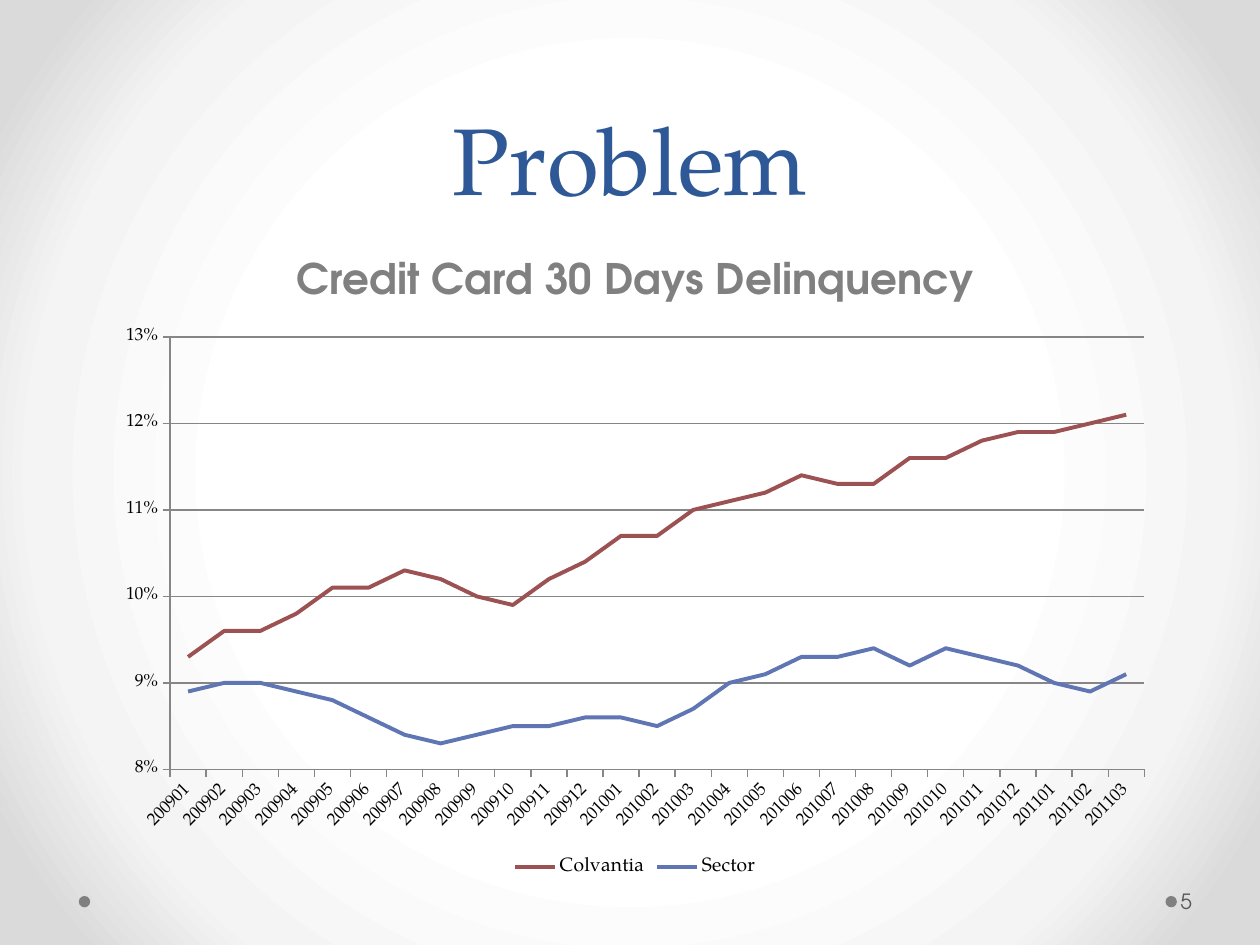
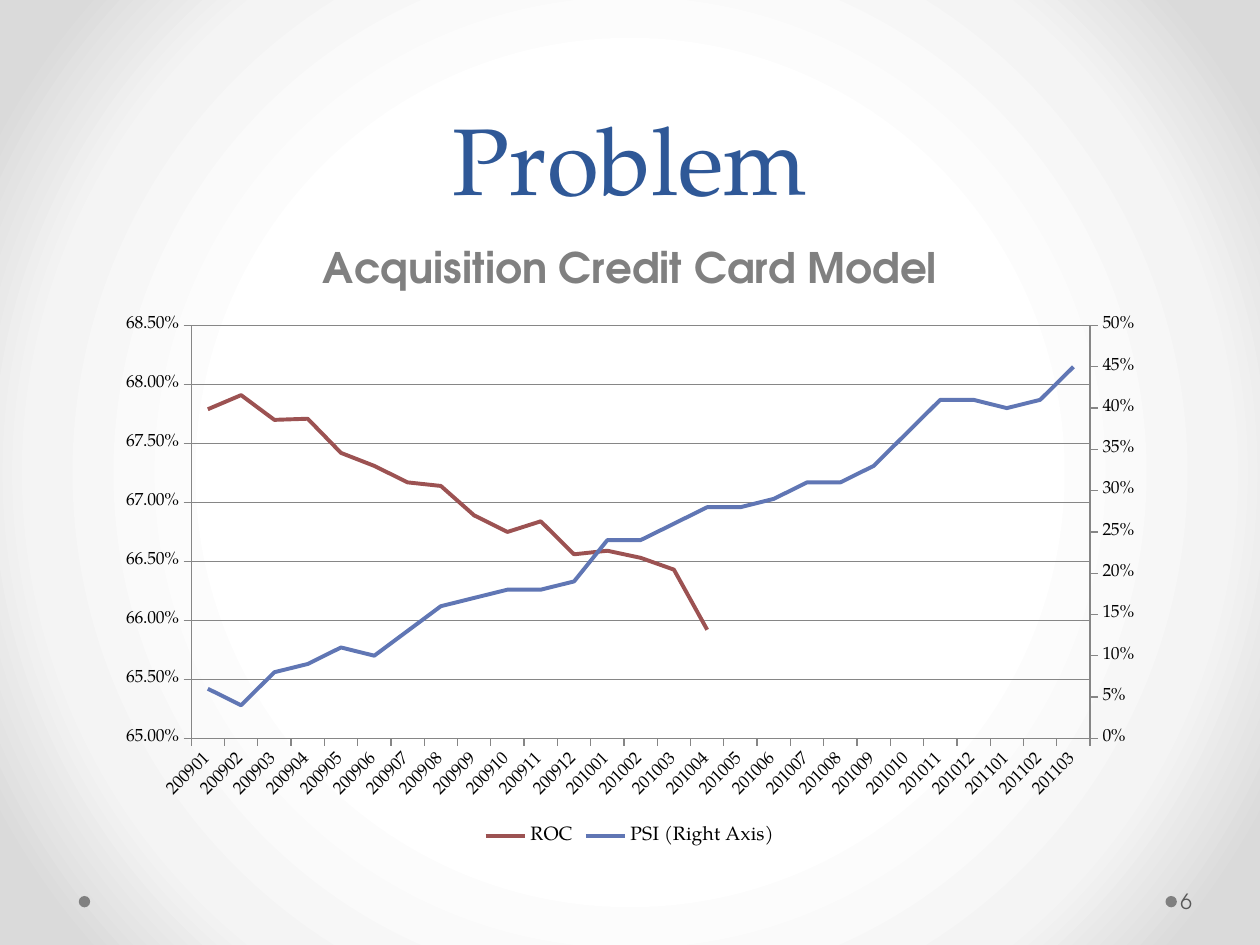
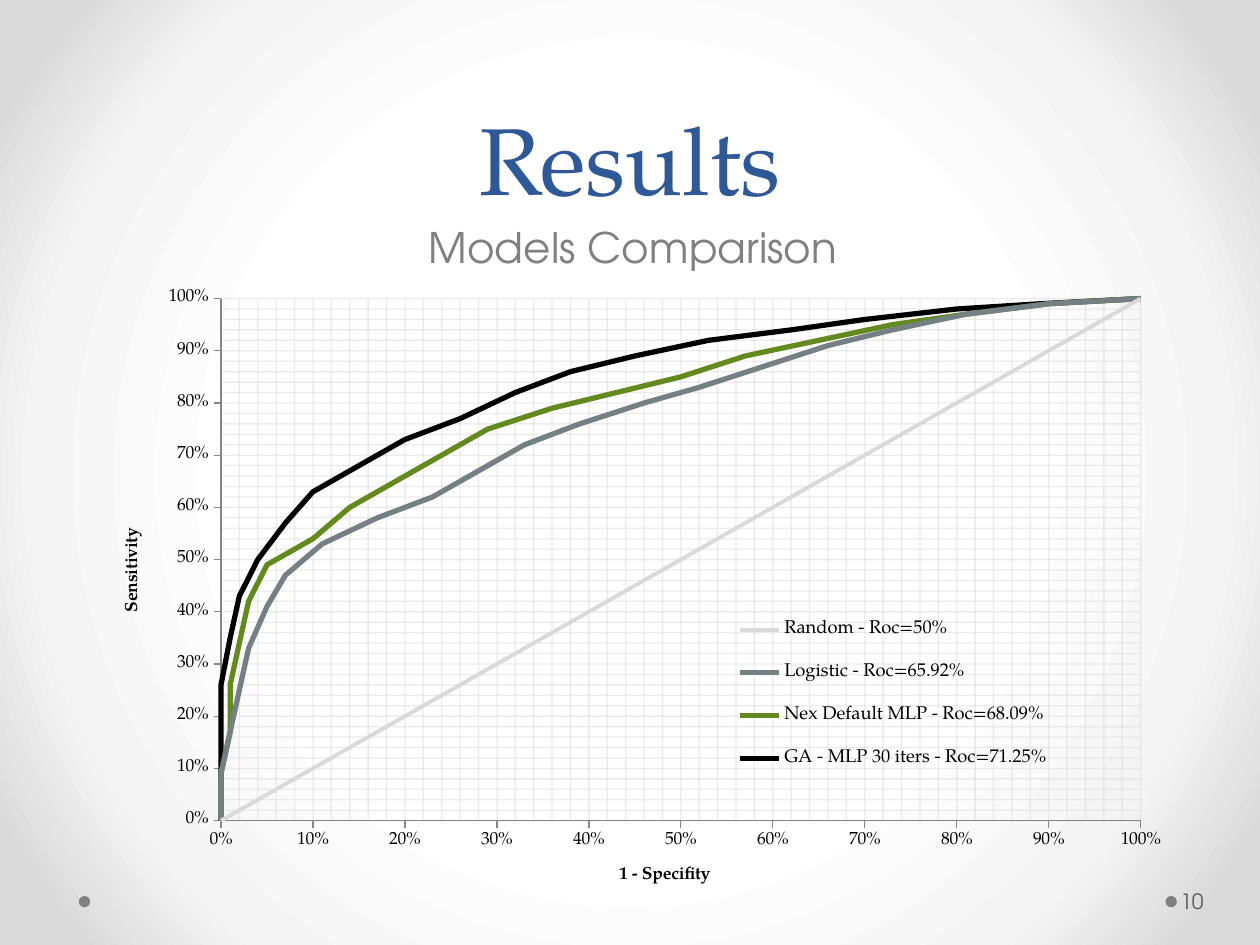
from copy import deepcopy

from lxml.etree import SubElement
from pptx import Presentation
from pptx.chart.data import CategoryChartData, XyChartData
from pptx.dml.color import RGBColor
from pptx.enum.chart import XL_CHART_TYPE as ChartType
from pptx.enum.chart import XL_LEGEND_POSITION as LegendPosition
from pptx.enum.chart import XL_TICK_MARK as TickMark
from pptx.enum.shapes import MSO_SHAPE as Shape
from pptx.enum.text import MSO_ANCHOR as Anchor
from pptx.enum.text import MSO_AUTO_SIZE as AutoSize
from pptx.enum.text import PP_ALIGN as Align
from pptx.oxml import parse_xml
from pptx.oxml.ns import nsdecls, qn
from pptx.util import Pt

COLORS = {
    "title": "2F5897", "muted": "808080", "number": "595959", "text": "000000",
    "axis": "868686", "grid": "D9D9D9", "red": "9C5252", "blue": "6076B4",
    "slate": "758085", "green": "63891F", "black": "000000",
}
BACKGROUND_STOPS = [(50, "FFFFFF"), (76, "F4F4F4"), (92, "DADADA")]
SERIF, SANS = "TeX Gyre Pagella", "TeX Gyre Adventor"
LINE_WIDTH, BOLD_LINE_WIDTH = 2.25, 3

MONTHS = [f"{year}{month:02}" for year in (2009, 2010, 2011)
          for month in range(1, 13)][:27]

DELINQUENCY = [
    ("Colvantia", "red",
     [0.093, 0.096, 0.096, 0.098, 0.101, 0.101, 0.103, 0.102, 0.1,
      0.099, 0.102, 0.104, 0.107, 0.107, 0.11, 0.111, 0.112, 0.114,
      0.113, 0.113, 0.116, 0.116, 0.118, 0.119, 0.119, 0.12, 0.121]),
    ("Sector", "blue",
     [0.089, 0.09, 0.09, 0.089, 0.088, 0.086, 0.084, 0.083, 0.084,
      0.085, 0.085, 0.086, 0.086, 0.085, 0.087, 0.09, 0.091, 0.093,
      0.093, 0.094, 0.092, 0.094, 0.093, 0.092, 0.09, 0.089, 0.091]),
]
ACQUISITION = [
    ("ROC", "red",
     [0.6779, 0.6791, 0.677, 0.6771, 0.6742, 0.6731, 0.6717, 0.6714,
      0.6689, 0.6675, 0.6684, 0.6656, 0.6659, 0.6653, 0.6643, 0.6592]
     + [None] * 11),
    ("PSI (Right Axis)", "blue",
     [0.06, 0.04, 0.08, 0.09, 0.11, 0.1, 0.13, 0.16, 0.17,
      0.18, 0.18, 0.19, 0.24, 0.24, 0.26, 0.28, 0.28, 0.29,
      0.31, 0.31, 0.33, 0.37, 0.41, 0.41, 0.4, 0.41, 0.45]),
]
DIAGONAL = [0, 0.09, 0.18, 0.26, 0.35, 0.43, 0.5, 0.57, 0.63, 0.68, 0.73,
            0.78, 0.82, 0.86, 0.89, 0.92, 0.95, 0.97, 0.98, 0.99, 1]
# name, colour, line width, x values, y values
ROC_CURVES = [
    ("Random - Roc=50%", "grid", LINE_WIDTH, DIAGONAL, DIAGONAL),
    ("Logistic - Roc=65.92%", "slate", BOLD_LINE_WIDTH,
     [0, 0, 0.01, 0.02, 0.03, 0.05, 0.07, 0.11, 0.17, 0.23, 0.28,
      0.33, 0.39, 0.46, 0.52, 0.59, 0.66, 0.73, 0.81, 0.9, 1],
     [0, 0.09, 0.17, 0.25, 0.33, 0.41, 0.47, 0.53, 0.58, 0.62, 0.67,
      0.72, 0.76, 0.8, 0.83, 0.87, 0.91, 0.94, 0.97, 0.99, 1]),
    ("Nex Default MLP - Roc=68.09%", "green", BOLD_LINE_WIDTH,
     [0, 0, 0.01, 0.01, 0.02, 0.03, 0.05, 0.1, 0.14, 0.19, 0.24,
      0.29, 0.36, 0.43, 0.5, 0.57, 0.65, 0.73, 0.81, 0.9, 1],
     [0, 0.09, 0.17, 0.26, 0.34, 0.42, 0.49, 0.54, 0.6, 0.65, 0.7,
      0.75, 0.79, 0.82, 0.85, 0.89, 0.92, 0.95, 0.97, 0.99, 1]),
    ("GA - MLP 30 iters - Roc=71.25%", "black", BOLD_LINE_WIDTH,
     [0, 0, 0, 0, 0.01, 0.02, 0.04, 0.07, 0.1, 0.15, 0.2,
      0.26, 0.32, 0.38, 0.45, 0.53, 0.62, 0.7, 0.8, 0.89, 1],
     [0, 0.09, 0.18, 0.26, 0.35, 0.43, 0.5, 0.57, 0.63, 0.68, 0.73,
      0.77, 0.82, 0.86, 0.89, 0.92, 0.94, 0.96, 0.98, 0.99, 1]),
]


def points(*lengths):
    """Turn plain numbers into point lengths."""
    return [Pt(length) for length in lengths]


def style_font(font, size, color, name, bold=False):
    """Set size, colour, typeface and weight of a font."""
    font.size, font.name, font.bold = Pt(size), name, bold
    font.color.rgb = RGBColor.from_string(COLORS[color])


def style_line(line, color, width, alpha=None):
    """Set colour, width and optional opacity (percent) of a line."""
    line.color.rgb = RGBColor.from_string(COLORS[color])
    line.width = Pt(width)
    if alpha:
        rgb = line.fill._xPr.find(".//" + qn("a:srgbClr"))
        SubElement(rgb, qn("a:alpha")).set("val", str(alpha * 1000))


def add_fine_grid(axis):
    """Show major and minor gridlines in one pale style."""
    axis.has_major_gridlines = axis.has_minor_gridlines = True
    style_line(axis.major_gridlines.format.line, "grid", 0.75, alpha=49)
    major = axis._element.find(qn("c:majorGridlines"))
    minor = axis._element.find(qn("c:minorGridlines"))
    minor.append(deepcopy(major.find(qn("c:spPr"))))


def set_layout(parent, index, area, inner=False):
    """Place a chart part by fractions of the chart's size."""
    for old in parent.findall(qn("c:layout")):
        parent.remove(old)
    layout = parse_xml(f"<c:layout {nsdecls('c')}><c:manualLayout/></c:layout>")
    settings = [("layoutTarget", "inner")] if inner else []
    settings += [("xMode", "edge"), ("yMode", "edge"), *zip("xywh", area)]
    for tag, value in settings:
        SubElement(layout[0], qn("c:" + tag)).set("val", str(value))
    parent.insert(index, layout)


def move_to_right_axis(chart):
    """Give the second series its own value axis on the right."""
    plot = chart.plots[0]._element
    right_plot = deepcopy(plot)
    plot.remove(plot.findall(qn("c:ser"))[1])
    right_plot.remove(right_plot.find(qn("c:ser")))
    plot.addnext(right_plot)

    category, value = chart.category_axis._element, chart.value_axis._element
    right_category, right_value = deepcopy(category), deepcopy(value)
    value.addnext(right_value)
    right_value.addnext(right_category)
    ids = ("1001", "1002")
    for reference, number in zip(right_plot.findall(qn("c:axId")), ids):
        reference.set("val", number)
    for axis, own, other in ((right_category, *ids), (right_value, *ids[::-1])):
        axis.find(qn("c:axId")).set("val", own)
        axis.find(qn("c:crossAx")).set("val", other)
    right_category.find(qn("c:delete")).set("val", "1")
    right_value.remove(right_value.find(qn("c:majorGridlines")))
    for tag, setting in (("axPos", "r"), ("crosses", "max"), ("scaling/c:min", "0")):
        target = right_value.find("c:" + tag, right_value.nsmap)
        target.set("val", setting)
    right_value.find(qn("c:numFmt")).set("formatCode", "0%")


class Deck:
    """Holds the presentation, its style and the current slide."""

    def __init__(self):
        """Start a 10 by 7.5 inch deck with the shared background."""
        self.deck = Presentation()
        self.deck.slide_width, self.deck.slide_height = points(720, 540)
        self.slide = None
        master = self.deck.slide_master
        master.background.fill.solid()
        background = master.element.xpath("p:cSld/p:bg/p:bgPr")[0]
        stops = "".join(
            f'<a:gs pos="{position * 1000}"><a:srgbClr val="{color}"/></a:gs>'
            for position, color in BACKGROUND_STOPS)
        background.replace(background[0], parse_xml(
            f'<a:gradFill {nsdecls("a")} rotWithShape="1"><a:gsLst>{stops}</a:gsLst>'
            '<a:path path="circle"><a:fillToRect l="50000" t="50000" r="50000"'
            ' b="50000"/></a:path></a:gradFill>'))

    def add_slide(self, title, number):
        """Add a slide with its title, footer dots and number."""
        self.slide = self.deck.slides.add_slide(self.deck.slide_layouts[5])
        box = self.slide.shapes.title
        box.left, box.top, box.width, box.height = points(36, 0, 648, 126)
        frame = box.text_frame
        frame.text = title
        frame.vertical_anchor, frame.auto_size = Anchor.BOTTOM, AutoSize.NONE
        para = frame.paragraphs[0]
        para.alignment, para.line_spacing = Align.CENTER, Pt(58)
        style_font(para.font, 54, "title", SERIF)
        for left in (45, 666):
            self.add_dot(left, 512)
        frame = self.add_text(str(number), (672.5, 500.5, 44, 29), 12, "number")
        frame.vertical_anchor, frame.margin_left = Anchor.MIDDLE, Pt(2)
        frame.margin_right = frame.margin_top = frame.margin_bottom = Pt(3.6)
        frame.word_wrap = True

    def add_dot(self, left, top):
        """Draw one footer dot."""
        dot = self.slide.shapes.add_shape(Shape.OVAL, *points(left, top, 6.5, 6.5))
        dot.shadow.inherit = False
        dot.fill.solid()
        dot.fill.fore_color.rgb = RGBColor.from_string(COLORS["muted"])
        dot.line.fill.background()

    def add_text(self, text, area, size, color):
        """Add a sans text box and return its text frame."""
        frame = self.slide.shapes.add_textbox(*points(*area)).text_frame
        frame.text = text
        style_font(frame.paragraphs[0].font, size, color, SANS)
        return frame

    def add_chart(self, kind, data, area, legend_size):
        """Add a chart with the shared font, legend and axis lines."""
        chart = self.slide.shapes.add_chart(kind, *points(*area), data).chart
        style_font(chart.font, 10, "text", SERIF)
        chart.has_title = False
        chart.has_legend = True
        chart.legend.position = LegendPosition.BOTTOM
        chart.legend.include_in_layout = False
        style_font(chart.legend.font, legend_size, "text", SERIF)
        chart.plots[0].vary_by_categories = False
        for axis in (chart.category_axis, chart.value_axis):
            axis.major_tick_mark, axis.minor_tick_mark = TickMark.OUTSIDE, TickMark.NONE
            style_line(axis.format.line, "axis", 0.75)
            style_font(axis.tick_labels.font, 10, "text", SERIF)
        return chart

    def add_line_chart(self, title, series, area, minimum, number_format):
        """Add a titled monthly line chart."""
        data = CategoryChartData()
        data.categories = MONTHS
        for name, _, values in series:
            data.add_series(name, values)
        chart = self.add_chart(ChartType.LINE, data, area, 11)
        chart.has_title = True
        chart.chart_title.include_in_layout = False
        frame = chart.chart_title.text_frame
        frame.text = title
        style_font(frame.paragraphs[0].font, 24, "muted", SANS, bold=True)
        for line, (_, color, _) in zip(chart.plots[0].series, series):
            line.smooth = False
            style_line(line.format.line, color, LINE_WIDTH)
        labels = chart.category_axis._element.find(qn("c:txPr"))
        labels.find(qn("a:bodyPr")).set("rot", "-2700000")
        axis = chart.value_axis
        axis.minimum_scale = minimum
        axis.has_major_gridlines = True
        style_line(axis.major_gridlines.format.line, "axis", 0.75)
        axis.tick_labels.number_format = number_format
        axis.tick_labels.number_format_is_linked = False
        return chart

    def add_curve_chart(self, curves, area, axis_titles):
        """Add smooth curves on two percent axes with a fine grid."""
        data = XyChartData()
        for name, _, _, xs, ys in curves:
            series = data.add_series(name)
            for x, y in zip(xs, ys):
                series.add_data_point(x, y)
        chart = self.add_chart(
            ChartType.XY_SCATTER_SMOOTH_NO_MARKERS, data, area, 10.5)
        for line, (_, color, width, _, _) in zip(chart.plots[0].series, curves):
            style_line(line.format.line, color, width)
        axes = (chart.category_axis, chart.value_axis)
        for axis, title, rotation in zip(axes, axis_titles, ("0", "-5400000")):
            axis.minimum_scale, axis.maximum_scale = 0, 1
            axis.major_unit, axis.minor_unit = 0.1, 0.02
            add_fine_grid(axis)
            axis.tick_labels.number_format = "0%"
            axis.tick_labels.number_format_is_linked = False
            frame = axis.axis_title.text_frame
            frame.text = title
            style_font(frame.paragraphs[0].font, 10, "text", SERIF, bold=True)
            frame._txBody.find(qn("a:bodyPr")).set("rot", rotation)
        plot_area = chart.plots[0]._element.getparent()
        set_layout(plot_area, 0, (0.114, 0.036, 0.829, 0.85), inner=True)
        set_layout(chart.legend._element, 1, (0.57, 0.52, 0.3, 0.32))


def main():
    """Build the three slides and save the deck."""
    deck = Deck()

    deck.add_slide("Problem", 5)
    chart = deck.add_line_chart("Credit Card 30 Days Delinquency", DELINQUENCY,
                                (60, 132, 606, 372), 0.08, "0%")
    chart.value_axis.major_unit = 0.01

    deck.add_slide("Problem", 6)
    chart = deck.add_line_chart("Acquisition Credit Card Model", ACQUISITION,
                                (60, 126, 600, 360), 0.65, "0.00%")
    move_to_right_axis(chart)

    deck.add_slide("Results", 10)
    deck.add_curve_chart(ROC_CURVES, (54, 158, 634, 351),
                         ("1 - Specifity", "Sensitivity"))
    frame = deck.add_text("Models Comparison", (238, 123, 250, 36), 24, "muted")
    frame.word_wrap, frame.auto_size = False, AutoSize.SHAPE_TO_FIT_TEXT

    deck.deck.save("out.pptx")


main()
